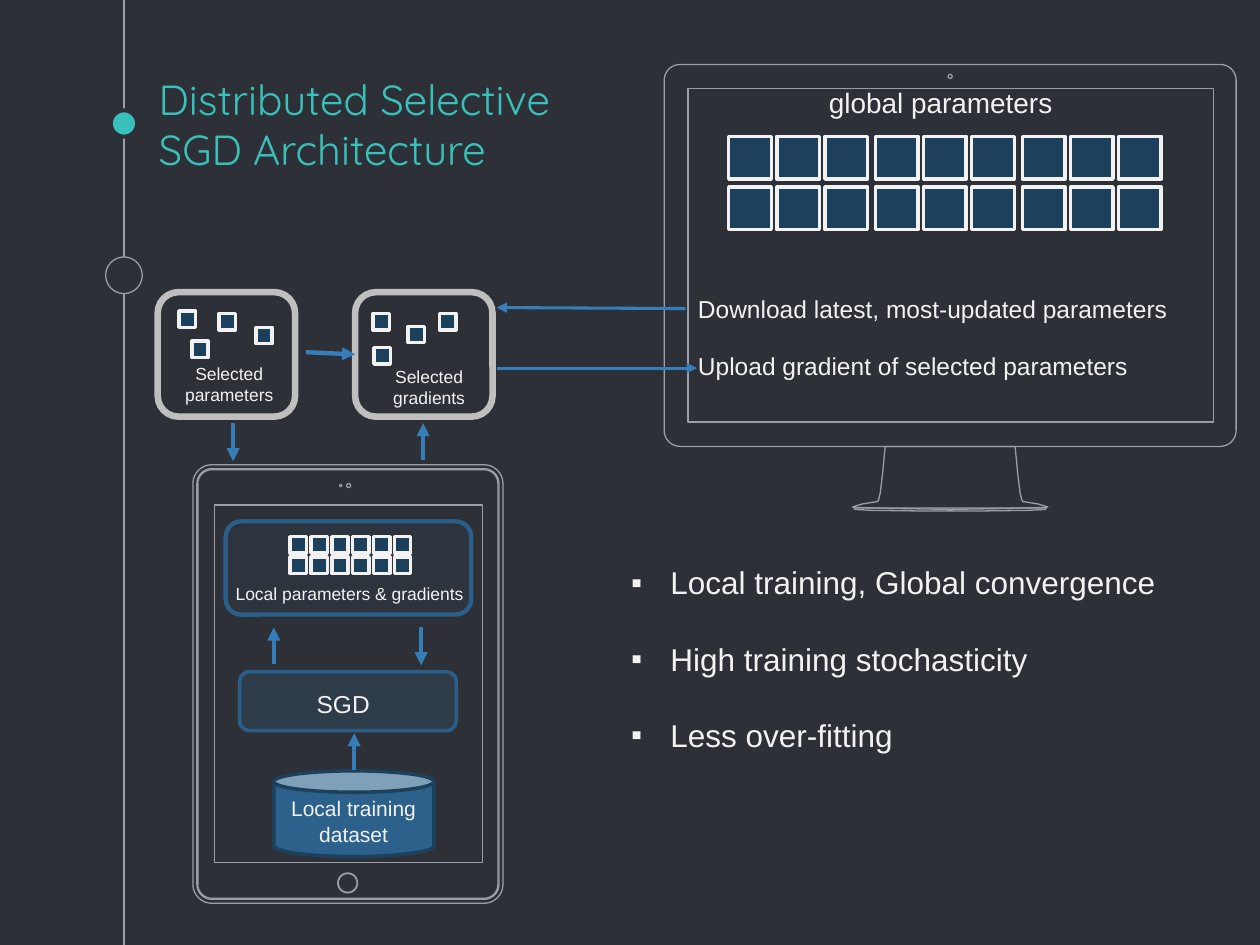
import math
from dataclasses import dataclass

from lxml import etree
from pptx import Presentation
from pptx import util as u
from pptx.dml.color import RGBColor
from pptx.enum import shapes, text
from pptx.oxml.ns import qn


@dataclass(frozen=True)
class Theme:
    background: str = "2E3037"
    accent: str = "39C0BA"
    outline: str = "999FA9"
    words: str = "F2F2F2"
    arrow: str = "367EB9"
    cell: str = "1D405D"
    store: str = "2B618B"
    tint: str = "3A81BA"
    panel: str = "2B5F8A"
    card: str = "BFBFBF"
    heading_font: str = "Quicksand"
    body_font: str = "Arial"
    title_size: int = 24
    list_size: int = 18
    screen_size: int = 16
    message_size: int = 14
    store_size: int = 12
    label_size: int = 10


THEME = Theme()
KIND = shapes.MSO_SHAPE
ALIGN = text.PP_ALIGN


def cm(*lengths):
    return [u.Cm(length) for length in lengths]


def rgb(code):
    return RGBColor.from_string(code)


def paint(shape, fill, line, weight, opacity=100):
    shape.shadow.inherit = False
    if fill:
        shape.fill.solid()
        shape.fill.fore_color.rgb = rgb(fill)
        if opacity < 100:
            colour = shape.element.spPr.find(".//" + qn("a:srgbClr"))
            etree.SubElement(colour, qn("a:alpha"), val=str(opacity * 1000))
    else:
        shape.fill.background()
    shape.line.color.rgb = rgb(line)
    shape.line.width = u.Pt(weight)


def add_block(slide, kind, box, fill, line, weight, opacity=100):
    block = slide.shapes.add_shape(kind, *cm(*box))
    paint(block, fill, line, weight, opacity)
    return block


def add_cell(slide, x, y, size):
    add_block(slide, KIND.RECTANGLE, (x, y, size, size), THEME.cell, THEME.words, 2)


def style_words(frame, font, size, colour):
    for paragraph in frame.paragraphs:
        for run in paragraph.runs:
            run.font.name = font
            run.font.size = u.Pt(size)
            run.font.color.rgb = rgb(colour)


def add_label(slide, wording, box, size, align=ALIGN.LEFT):
    frame = slide.shapes.add_textbox(*cm(*box)).text_frame
    frame.word_wrap = True
    frame.auto_size = text.MSO_AUTO_SIZE.SHAPE_TO_FIT_TEXT
    frame.text = wording
    for paragraph in frame.paragraphs:
        paragraph.alignment = align
    style_words(frame, THEME.body_font, size, THEME.words)


def add_line(slide, start, end, colour, weight):
    line = slide.shapes.add_connector(shapes.MSO_CONNECTOR.STRAIGHT, *cm(*start, *end))
    line.line.color.rgb = rgb(colour)
    line.line.width = u.Pt(weight)
    etree.SubElement(line.element.spPr, qn("a:effectLst"))
    return line


def add_arrow(slide, start, end, weight=2.5):
    arrow = add_line(slide, start, end, THEME.arrow, weight)
    etree.SubElement(arrow.line._get_or_add_ln(), qn("a:tailEnd"), type="triangle")
    return arrow


def arc(cx, cy, radius, first, last, steps):
    angles = [math.radians(first + (last - first) * i / steps) for i in range(steps + 1)]
    return [(cx + radius * math.cos(a), cy + radius * math.sin(a)) for a in angles]


def ring(cx, cy, radius):
    return arc(cx, cy, radius, 0, 360, 24)


def rounded(x, y, width, height, radius):
    right, bottom = x + width - radius, y + height - radius
    left, top = x + radius, y + radius
    corners = [(left, top), (right, top), (right, bottom), (left, bottom)]
    return [point for i, (cx, cy) in enumerate(corners)
            for point in arc(cx, cy, radius, 180 + 90 * i, 270 + 90 * i, 8)]


def mirrored(cx, half):
    return ([(cx + dx, y) for dx, y in half]
            + [(cx - dx, y) for dx, y in reversed(half)])


def add_outline(slide, left, top, contours):
    placed = [[cm(left + x, top + y) for x, y in contour] for contour in contours]
    builder = slide.shapes.build_freeform(*placed[0][0])
    for index, contour in enumerate(placed):
        if index:
            builder.move_to(*contour[0])
        builder.add_line_segments(contour[1:], close=True)
    paint(builder.convert_to_shape(), None, THEME.outline, 0.75)


def add_timeline(slide, x, height):
    add_line(slide, (x, 0), (x, height), THEME.outline, 0.75)
    for y, size, fill, line, weight in [
        (2.49, 0.53, THEME.accent, THEME.background, 2.25),
        (5.55, 0.74, THEME.background, THEME.outline, 0.75),
    ]:
        box = (x - size / 2, y - size / 2, size, size)
        add_block(slide, KIND.OVAL, box, fill, line, weight)


def place(placeholder, box):
    placeholder.left, placeholder.top, placeholder.width, placeholder.height = cm(*box)
    frame = placeholder.text_frame
    frame.word_wrap = True
    frame.auto_size = text.MSO_AUTO_SIZE.NONE
    return frame


def fill_title(slide, box):
    frame = place(slide.shapes.title, box)
    frame.margin_left = frame.margin_right = u.Cm(0.25)
    frame.margin_top = frame.margin_bottom = u.Cm(0.25)
    frame.vertical_anchor = text.MSO_ANCHOR.BOTTOM
    frame.text = "Distributed Selective\vSGD Architecture"
    frame.paragraphs[0].alignment = ALIGN.LEFT
    style_words(frame, THEME.heading_font, THEME.title_size, THEME.accent)


def fill_benefits(slide, box):
    frame = place(slide.placeholders[1], box)
    frame.vertical_anchor = text.MSO_ANCHOR.TOP
    frame.text = ("Local training, Global convergence\n"
                  "High training stochasticity\nLess over-fitting")
    for paragraph in frame.paragraphs:
        paragraph.space_before = u.Pt(0)
        paragraph.space_after = u.Pt(22)
        properties = paragraph._p.get_or_add_pPr()
        properties.set("marL", str(u.Cm(0.79)))
        properties.set("indent", str(u.Cm(-0.79)))
        etree.SubElement(properties, qn("a:buChar"), char="▪")
    style_words(frame, THEME.body_font, THEME.list_size, THEME.words)


def add_tablet(slide, left, top, width, height):
    frames = [rounded(gap, gap, width - 2 * gap, height - 2 * gap, 0.38 - gap)
              for gap in (0, 0.08, 0.1)]
    screen = [(0.43, 0.81), (5.84, 0.81), (5.84, 8.02), (0.43, 8.02)]
    add_outline(slide, left, top, frames + [
        screen, ring(2.98, 0.42, 0.02), ring(3.14, 0.42, 0.04),
        ring(3.12, 8.43, 0.19), ring(3.12, 8.43, 0.2)])

    add_block(slide, KIND.CAN, (left + 1.63, top + 6.17, 3.23, 1.73),
              THEME.store, THEME.cell, 2)
    add_block(slide, KIND.ROUNDED_RECTANGLE, (left + 0.94, top + 4.17, 4.37, 1.19),
              THEME.tint, THEME.panel, 2, opacity=15)
    add_block(slide, KIND.ROUNDED_RECTANGLE, (left + 0.66, top + 1.14, 4.95, 1.88),
              THEME.tint, THEME.panel, 2.5, opacity=5)
    add_label(slide, "Local training dataset", (left + 1.45, top + 6.55, 3.58, 1.27),
              THEME.store_size, ALIGN.CENTER)
    add_label(slide, "SGD", (left + 1.57, top + 4.39, 2.92, 0.86),
              THEME.message_size, ALIGN.CENTER)
    add_label(slide, "Local parameters & gradients",
              (left + 0.61, top + 2.26, 5.38, 0.69), THEME.label_size)
    for x, start, end in [(3.25, 6.15, 5.41), (1.63, 4.01, 3.28), (4.6, 3.28, 4.04)]:
        add_arrow(slide, (left + x, top + start), (left + x, top + end))
    for column in range(6):
        for row in range(2):
            add_cell(slide, left + 1.96 + 0.42 * column, top + 1.45 + 0.41 * row, 0.33)


def add_selection(slide, left, top, wording, label_at, cells):
    card = add_block(slide, KIND.ROUNDED_RECTANGLE, (left, top, 2.77, 2.51),
                     None, THEME.card, 3.75)
    for x, y in cells:
        add_cell(slide, left + x, top + y, 0.33)
    add_label(slide, wording, (left + label_at[0], top + label_at[1], 2.72, 1.12),
              THEME.label_size, ALIGN.CENTER)
    return card


def add_monitor(slide, left, top, width, height):
    middle = width / 2
    screen = [(0.48, 0.48), (11.07, 0.48), (11.07, 7.21), (0.48, 7.21)]
    stand = [(1.31, 7.7), (1.36, 8.23), (1.41, 8.64), (1.44, 8.76),
             (1.46, 8.81), (1.77, 8.86), (1.97, 8.92), (1.87, 8.94)]
    foot = [(0, 8.97), (1.2, 8.95), (1.94, 8.93), (1.92, 8.97), (1.55, 8.99), (0.72, height)]
    add_outline(slide, left, top, [
        rounded(0, 0, width, 7.7, 0.32), screen, ring(middle, 0.24, 0.04),
        mirrored(middle, stand), mirrored(middle, foot)])

    for column in range(9):
        group, member = divmod(column, 3)
        for row in range(2):
            add_cell(slide, left + 1.3 + 2.96 * group + 0.97 * member,
                     top + 1.45 + 1.02 * row, 0.86)
    add_label(slide, "global parameters", (left + 3.07, top + 0.3, 5.18, 0.94),
              THEME.screen_size)
    for y, message in [(4.5, "Download latest, most-updated parameters"),
                       (5.66, "Upload gradient of selected parameters")]:
        add_label(slide, message, (left + 0.43, top + y, 10.03, 0.86),
                  THEME.message_size)


def main():
    deck = Presentation()
    deck.slide_width, deck.slide_height = cm(25.4, 19.05)
    slide = deck.slides.add_slide(deck.slide_layouts[1])
    slide.background.fill.solid()
    slide.background.fill.fore_color.rgb = rgb(THEME.background)

    add_timeline(slide, 2.5, 19.05)
    fill_title(slide, (2.95, 1.55, 19.05, 2.21))
    fill_benefits(slide, (12.47, 11.23, 11.79, 4.7))
    add_tablet(slide, 3.89, 9.37, 6.25, 8.84)
    add_selection(slide, 3.18, 5.89, "Selected\nparameters", (0.08, 1.3),
                  [(0.43, 0.38), (0.69, 0.99), (1.24, 0.43), (1.98, 0.71)])
    gradients = add_selection(slide, 7.16, 5.89, "Selected\ngradients", (0.13, 1.37),
                              [(0.36, 0.43), (0.38, 1.12), (1.7, 0.43), (1.07, 0.69)])
    add_monitor(slide, 13.39, 1.3, 11.53, 9)

    add_arrow(slide, (4.7, 8.53), (4.7, 9.3))
    add_arrow(slide, (8.53, 9.27), (8.53, 8.53))
    add_arrow(slide, (13.82, 6.22), (10.01, 6.2), 1.75)
    add_arrow(slide, (10.01, 7.42), (14.05, 7.42), 1.75)
    selection = add_arrow(slide, (6.17, 7.1), (7.16, 7.1))
    selection.end_connect(gradients, 1)
    deck.save("out.pptx")


if __name__ == "__main__":
    main()
